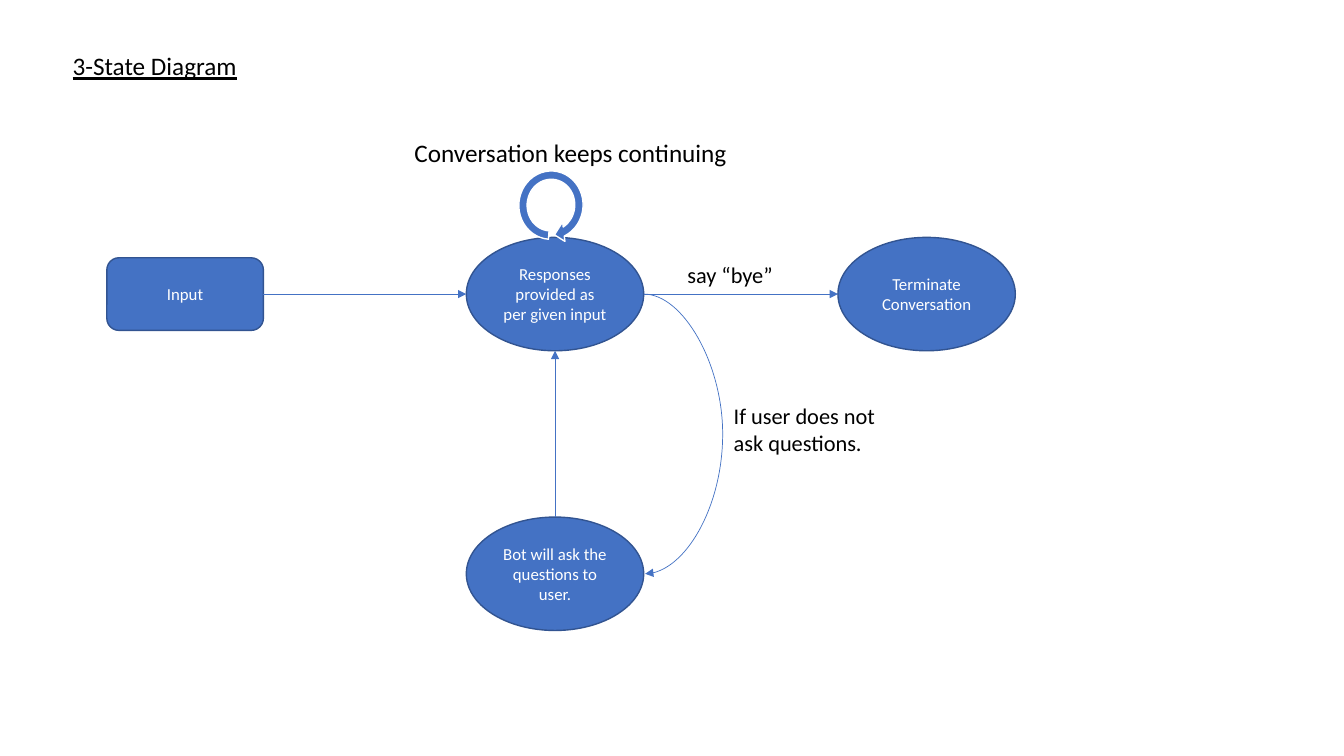
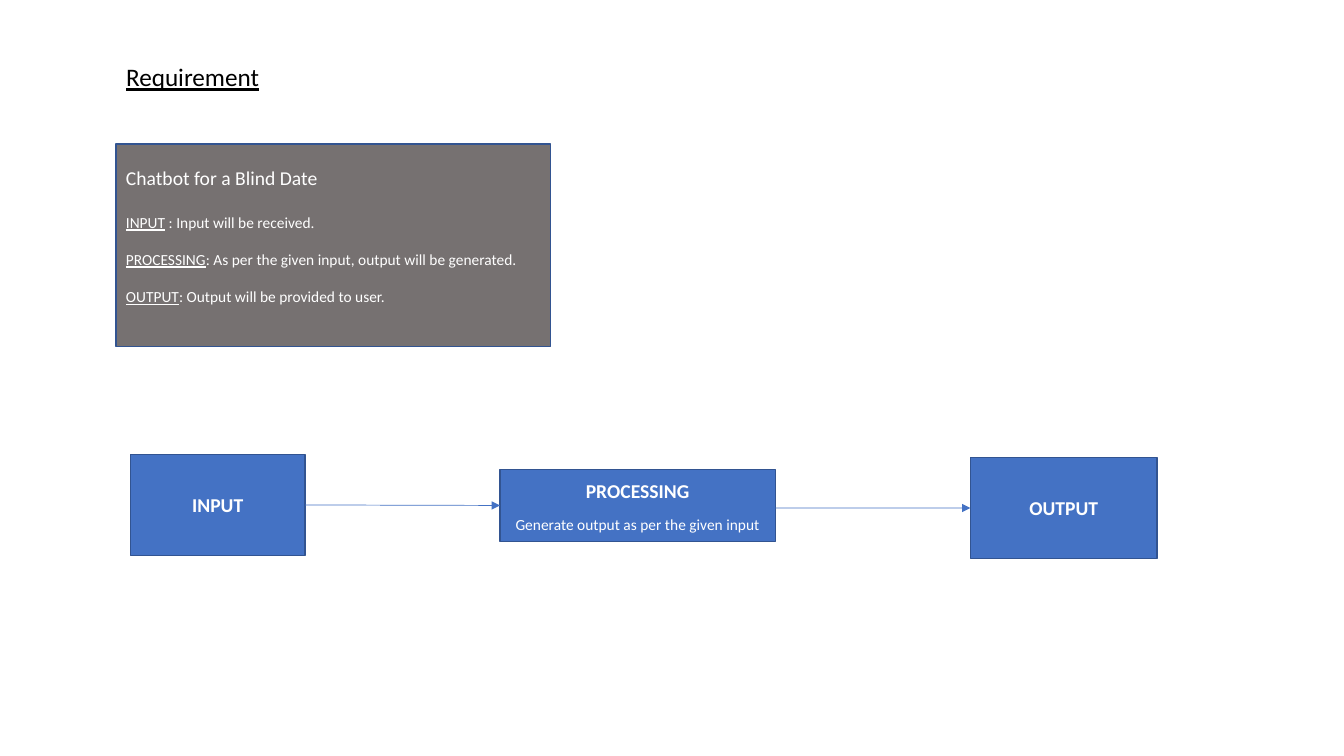
from lxml import etree
from pptx import Presentation
from pptx import util as u
from pptx.dml.color import RGBColor
from pptx.enum import shapes, text
from pptx.oxml import ns

BLUE, EDGE, GRAY, WHITE, BLACK = "4472C4", "325491", "767171", "FFFFFF", "000000"
LEFT, CENTER = text.PP_ALIGN.LEFT, text.PP_ALIGN.CENTER
TOP, MIDDLE = text.MSO_ANCHOR.TOP, text.MSO_ANCHOR.MIDDLE
OVAL, RECT = shapes.MSO_SHAPE.OVAL, shapes.MSO_SHAPE.RECTANGLE
ROUNDED, LOOP = shapes.MSO_SHAPE.ROUNDED_RECTANGLE, shapes.MSO_SHAPE.CIRCULAR_ARROW
STRAIGHT, CURVE = shapes.MSO_CONNECTOR.STRAIGHT, shapes.MSO_CONNECTOR.CURVE

deck = Presentation()
deck.slide_width, deck.slide_height = u.Inches(13.333), u.Inches(7.5)
PERCENT = (deck.slide_width / 100, deck.slide_height / 100) * 2


def paint(fill, color):
    fill.solid()
    fill.fore_color.rgb = RGBColor.from_string(color)


def write(frame, words, size, color, align, anchor):
    frame.text = words
    frame.word_wrap = True
    frame.auto_size = text.MSO_AUTO_SIZE.NONE
    frame.vertical_anchor = anchor
    for para in frame.paragraphs:
        para.alignment = align
        for span in para.runs:
            span.font.name = "Calibri"
            span.font.size = u.Pt(size)
            paint(span.font.fill, color)


pages = []
for heading, area in [
    ("3-State Diagram", (4.65, 6, 14.25, 5.33)),
    ("Requirement", (8.63, 7.47, 19.5, 5.33)),
]:
    page = deck.slides.add_slide(deck.slide_layouts[5])
    title = page.shapes.title
    title.left, title.top, title.width, title.height = [
        round(share * unit) for share, unit in zip(area, PERCENT)
    ]
    write(title.text_frame, heading, 18, BLACK, LEFT, TOP)
    title.text_frame.paragraphs[0].runs[0].font.underline = True
    pages.append(page)
states, requirement = pages

OVAL_WIDTH, OVAL_HEIGHT = 13.2, 15
MAIN_LEFT, MAIN_TOP, BOT_TOP, END_LEFT = 34.7, 31.4, 68.4, 62.35
MAIN_RIGHT, MAIN_CENTER = MAIN_LEFT + OVAL_WIDTH, MAIN_LEFT + OVAL_WIDTH / 2
MAIN_ROW, BOT_ROW = MAIN_TOP + OVAL_HEIGHT / 2, BOT_TOP + OVAL_HEIGHT / 2

blocks = {}
for name, page, kind, area, words, size, fill in [
    ("responses", states, OVAL, (MAIN_LEFT, MAIN_TOP, OVAL_WIDTH, OVAL_HEIGHT),
     "Responses provided as per given input", 12, BLUE),
    ("terminate", states, OVAL, (END_LEFT, MAIN_TOP, OVAL_WIDTH, OVAL_HEIGHT),
     "Terminate Conversation", 12, BLUE),
    ("bot", states, OVAL, (MAIN_LEFT, BOT_TOP, OVAL_WIDTH, OVAL_HEIGHT),
     "Bot will ask the questions to user.", 12, BLUE),
    ("start", states, ROUNDED, (7.95, MAIN_ROW - 4.8, 11.65, 9.6), "Input", 12, BLUE),
    ("loop", states, LOOP, (38.03, 22.13, 5.93, 10), "", 12, BLUE),
    ("input", requirement, RECT, (9.7, 60.13, 13, 13.33), "INPUT", 14, BLUE),
    ("processing", requirement, RECT, (37.2, 62.13, 20.5, 9.47),
     "PROCESSING\nGenerate output as per the given input", 14, BLUE),
    ("output", requirement, RECT, (72.2, 60.53, 13.9, 13.33), "OUTPUT", 14, BLUE),
    ("summary", requirement, RECT, (8.63, 19.07, 32.33, 26.8),
     "Chatbot for a Blind Date", 14, GRAY),
]:
    box = page.shapes.add_shape(
        kind, *[round(share * unit) for share, unit in zip(area, PERCENT)]
    )
    box.shadow.inherit = False
    paint(box.fill, fill)
    paint(box.line.fill, WHITE if kind == LOOP else EDGE)
    box.line.width = u.Pt(1)
    if words:
        write(box.text_frame, words, size, WHITE, CENTER, MIDDLE)
    blocks[name] = box

loop = blocks["loop"]
loop.rotation = 274.2
for index, value in enumerate([0.11, 11.42, 90, 108, 0.13]):
    loop.adjustments[index] = value

for name in ("input", "processing", "output"):
    heading = blocks[name].text_frame.paragraphs[0]
    heading.runs[0].font.bold = True
process_heading, process_detail = blocks["processing"].text_frame.paragraphs
process_heading.space_after = u.Pt(8)
process_detail.runs[0].font.size = u.Pt(11)
for para in (process_heading, process_detail):
    para.line_spacing = 1.07

summary = blocks["summary"].text_frame
summary.margin_bottom = u.Inches(0.24)
summary.paragraphs[0].alignment = LEFT
summary.paragraphs[0].space_after = u.Pt(17)
for term, meaning in [
    ("INPUT", " : Input will be received."),
    ("PROCESSING", ": As per the given input, output will be generated."),
    ("OUTPUT", ": Output will be provided to user."),
]:
    para = summary.add_paragraph()
    para.alignment = LEFT
    para.space_after = u.Pt(0 if term == "OUTPUT" else 13.4)
    for words, underlined in [(term, True), (meaning, False)]:
        span = para.add_run()
        span.text = words
        span.font.name = "Calibri"
        span.font.size = u.Pt(11)
        span.font.underline = underlined
        paint(span.font.fill, WHITE)

for area, words, size in [
    ((30.1, 17.47, 27.1, 5.33), "Conversation keeps continuing", 18),
    ((50.4, 33.87, 9.7, 4.93), "say “bye”", 16),
    ((53.85, 52.53, 12.15, 8.53), "If user does not\nask questions.", 16),
]:
    label = states.shapes.add_textbox(
        *[round(share * unit) for share, unit in zip(area, PERCENT)]
    )
    write(label.text_frame, words, size, BLACK, LEFT, TOP)

INPUT_ROW, OUTPUT_ROW = 66.8, 67.2
for page, kind, ends, source, target in [
    (states, STRAIGHT, (19.6, MAIN_ROW, MAIN_LEFT, MAIN_ROW), "start", None),
    (states, STRAIGHT, (MAIN_RIGHT, MAIN_ROW, END_LEFT, MAIN_ROW), None, None),
    (states, STRAIGHT, (MAIN_CENTER, BOT_TOP, MAIN_CENTER, MAIN_TOP + OVAL_HEIGHT), None, None),
    (states, CURVE, (MAIN_RIGHT, MAIN_ROW, MAIN_RIGHT + 0.1, BOT_ROW), None, None),
    (requirement, STRAIGHT, (22.7, INPUT_ROW, 37.2, INPUT_ROW), "input", "processing"),
    (requirement, STRAIGHT, (57.7, OUTPUT_ROW, 72.2, OUTPUT_ROW), None, "output"),
]:
    arrow = page.shapes.add_connector(
        kind, *[round(share * unit) for share, unit in zip(ends, PERCENT)]
    )
    if source:
        arrow.begin_connect(blocks[source], 3)
    if target:
        arrow.end_connect(blocks[target], 1)
    paint(arrow.line.fill, BLUE)
    arrow.line.width = u.Pt(0.5)
    properties = arrow._element.spPr
    etree.SubElement(properties.find(ns.qn("a:ln")), ns.qn("a:tailEnd"), type="triangle")
    etree.SubElement(properties, ns.qn("a:effectLst"))
    if kind == CURVE:
        geometry = properties.find(ns.qn("a:prstGeom"))
        guides = geometry.find(ns.qn("a:avLst"))
        if guides is None:
            guides = etree.SubElement(geometry, ns.qn("a:avLst"))
        etree.SubElement(guides, ns.qn("a:gd"), name="adj1", fmla="val 5850000")

deck.save("out.pptx")
